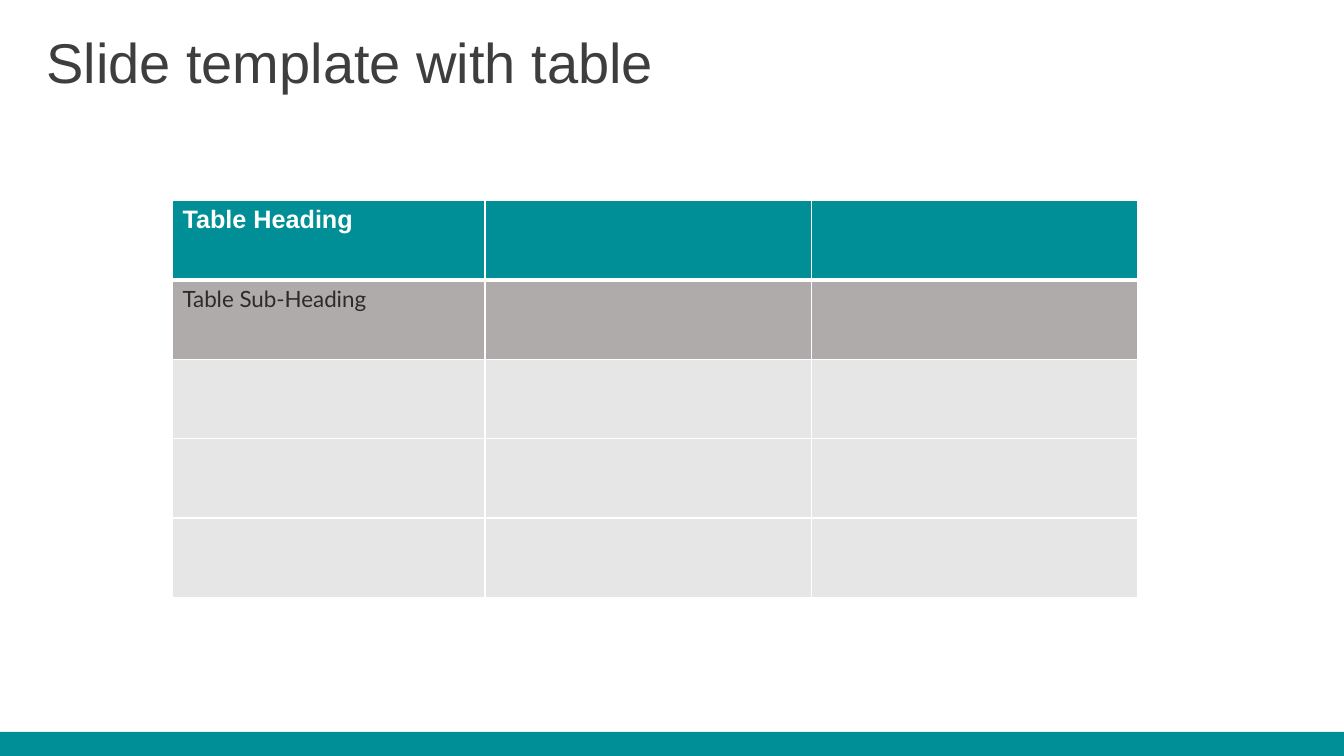
"""Build a slide with a title, a three-column table and a footer bar on a 100 by 100 grid."""
from dataclasses import dataclass

import pptx
import pptx.dml.color
import pptx.enum.shapes
import pptx.enum.text
import pptx.oxml
import pptx.oxml.ns
import pptx.util


@dataclass(frozen=True)
class Theme:
    teal: str = "008F97"
    grey: str = "AFABAB"
    pale: str = "E7E6E6"
    white: str = "FFFFFF"
    title_ink: str = "3E3E3F"
    ink: str = "2C2B2A"
    sans: str = "Arial"
    body: str = "Lato"
    title_size: int = 40
    heading_size: int = 18
    body_size: int = 16
    thin: int = 1
    thick: int = 3


@dataclass(frozen=True)
class Box:
    col: float
    row: float
    cols: float
    rows: float


@dataclass(frozen=True)
class TextStyle:
    size: int
    font: str
    color: str
    bold: bool = False


@dataclass(frozen=True)
class TableRow:
    label: str
    fill: str
    style: TextStyle
    top: int
    bottom: int


THEME = Theme()
WIDTH = pptx.util.Inches(13.33)
HEIGHT = pptx.util.Inches(7.5)
TITLE_BOX = Box(2.7, 1.47, 86.25, 14.27)
BAR_BOX = Box(0, 96.8, 100, 3.2)
COLUMNS = (23.25, 24.3, 24.3)
ROW_SPAN = 10.5

TITLE_STYLE = TextStyle(THEME.title_size, THEME.sans, THEME.title_ink)
HEADING_STYLE = TextStyle(THEME.heading_size, THEME.sans, THEME.white, True)
BODY_STYLE = TextStyle(THEME.body_size, THEME.body, THEME.ink)
PLAIN_ROW = TableRow("", THEME.pale, BODY_STYLE, THEME.thin, THEME.thin)
ROWS = (
    TableRow("Table Heading", THEME.teal, HEADING_STYLE, THEME.thin, THEME.thick),
    TableRow("Table Sub-Heading", THEME.grey, BODY_STYLE, THEME.thick, THEME.thin),
    *[PLAIN_ROW] * 3,
)
TABLE_BOX = Box(12.83, 26.53, sum(COLUMNS), ROW_SPAN * len(ROWS))


def across(cols: float) -> int:
    """Turn grid columns into a length."""
    return round(WIDTH * cols / 100)


def down(rows: float) -> int:
    """Turn grid rows into a length."""
    return round(HEIGHT * rows / 100)


def place(box: Box) -> tuple[int, int, int, int]:
    """Return left, top, width and height of a grid box."""
    return across(box.col), down(box.row), across(box.cols), down(box.rows)


def rgb(color: str) -> pptx.dml.color.RGBColor:
    """Return a colour from its hex code."""
    return pptx.dml.color.RGBColor.from_string(color)


def write(tf, text: str, style: TextStyle) -> None:
    """Set the text of a frame and format its runs."""
    tf.text = text
    for r in tf.paragraphs[0].runs:
        r.font.size = pptx.util.Pt(style.size)
        r.font.name = style.font
        r.font.bold = style.bold
        r.font.color.rgb = rgb(style.color)


def add_title(slide, text: str) -> None:
    """Fill and move the title placeholder."""
    sp = slide.shapes.title
    sp.left, sp.top, sp.width, sp.height = place(TITLE_BOX)
    tf = sp.text_frame
    write(tf, text, TITLE_STYLE)
    tf.word_wrap = True
    tf.auto_size = pptx.enum.text.MSO_AUTO_SIZE.NONE
    tf.vertical_anchor = pptx.enum.text.MSO_ANCHOR.MIDDLE
    p = tf.paragraphs[0]
    p.alignment = pptx.enum.text.PP_ALIGN.LEFT
    p.line_spacing = 0.9


def set_borders(cell, row: TableRow) -> None:
    """Draw the white rules around a cell."""
    tc_pr = cell._tc.get_or_add_tcPr()
    sides = {"L": THEME.thin, "R": THEME.thin, "T": row.top, "B": row.bottom}
    for i, (side, points) in enumerate(sides.items()):
        tc_pr.insert(i, pptx.oxml.parse_xml(
            f'<a:ln{side} {pptx.oxml.ns.nsdecls("a")} w="{pptx.util.Pt(points)}">'
            f'<a:solidFill><a:srgbClr val="{THEME.white}"/></a:solidFill></a:ln{side}>'))


def add_grid(slide) -> None:
    """Add the table with its row styles."""
    table = slide.shapes.add_table(len(ROWS), len(COLUMNS), *place(TABLE_BOX)).table
    table.first_row = table.horz_banding = False
    for column, span in zip(table.columns, COLUMNS):
        column.width = across(span)
    for line, row in zip(table.rows, ROWS):
        line.height = down(ROW_SPAN)
        for cell in line.cells:
            cell.fill.solid()
            cell.fill.fore_color.rgb = rgb(row.fill)
            set_borders(cell, row)
        if row.label:
            write(line.cells[0].text_frame, row.label, row.style)


def add_bar(slide) -> None:
    """Add the footer bar."""
    sp = slide.shapes.add_shape(pptx.enum.shapes.MSO_SHAPE.RECTANGLE, *place(BAR_BOX))
    sp.shadow.inherit = False
    sp.fill.solid()
    sp.fill.fore_color.rgb = rgb(THEME.teal)
    sp.line.fill.background()


def main() -> None:
    """Build and save the slide."""
    prs = pptx.Presentation()
    prs.slide_width, prs.slide_height = WIDTH, HEIGHT
    slide = prs.slides.add_slide(prs.slide_layouts.get_by_name("Title Only"))
    add_title(slide, "Slide template with table")
    add_grid(slide)
    add_bar(slide)
    prs.save("out.pptx")


if __name__ == "__main__":
    main()
